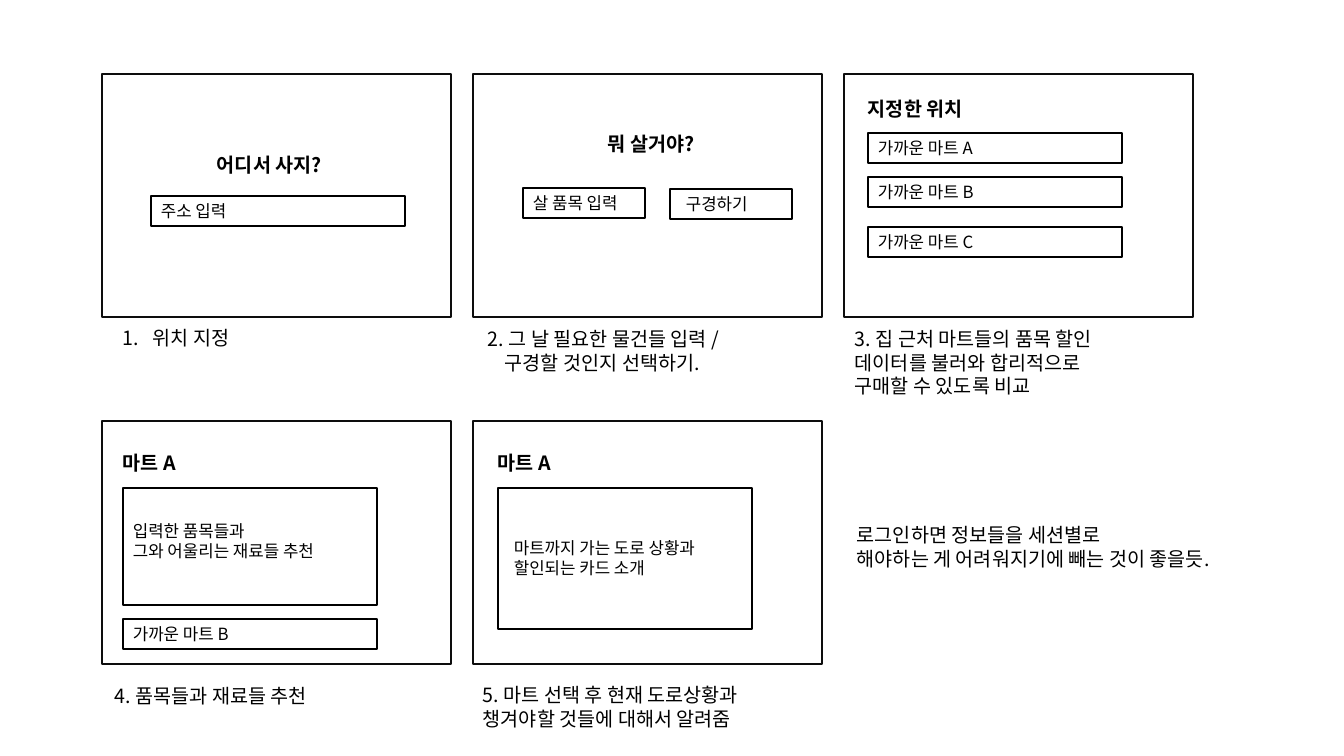
from lxml import etree
from pptx import Presentation
from pptx.dml.color import RGBColor
from pptx.enum.shapes import MSO_SHAPE
from pptx.enum.text import MSO_AUTO_SIZE
from pptx.oxml.ns import qn
from pptx.util import Pt

RECT = MSO_SHAPE.RECTANGLE
GROW = MSO_AUTO_SIZE.SHAPE_TO_FIT_TEXT
SCALE = 914400 / 100.8
FACE = "Noto Sans CJK KR"
COLORS = {"card": "0D0D0D", "box": "000000", "text": "000000"}
FORMATS = {
    "body": {"size": Pt(14), "name": FACE, "bold": False},
    "head": {"size": Pt(14), "name": FACE, "bold": True},
    "small": {"size": Pt(12), "name": FACE, "bold": False},
}
FRAME = {"word_wrap": True, "auto_size": GROW}


def emu(*pixels):
    return [round(p * SCALE) for p in pixels]


def apply(target, values):
    for key, value in values.items():
        setattr(target, key, value)


class Sketch:
    def __init__(self, deck):
        self.slide = deck.slides.add_slide(deck.slide_layouts[6])

    def rect(self, x, y, w, h, color="box"):
        shape = self.slide.shapes.add_shape(RECT, *emu(x, y, w, h))
        shape.shadow.inherit = False
        shape.fill.background()
        shape.line.color.rgb = RGBColor.from_string(COLORS[color])
        shape.line.width = Pt(1)

    def text(self, x, y, w, h, lines, style="body", indents=()):
        frame = self.slide.shapes.add_textbox(*emu(x, y, w, h)).text_frame
        apply(frame, FRAME)
        for i, line in enumerate(lines):
            para = frame.paragraphs[0] if i == 0 else frame.add_paragraph()
            run = para.add_run()
            run.text = line
            apply(run.font, FORMATS[style])
            run.font.color.rgb = RGBColor.from_string(COLORS["text"])
            etree.SubElement(run.font._element, qn("a:ea"), typeface=FACE)
            if i < len(indents):
                left, first = emu(*indents[i])
                props = para._p.get_or_add_pPr()
                props.set("marL", str(left))
                props.set("indent", str(first))

    def field(self, x, y, w, label, shift=0):
        self.rect(x, y, w, 30)
        self.text(x + shift, y, min(w, 162), 30, [label], "small")

    def panel(self, x, h, lines, shift=0, drop=0):
        self.rect(x, 488, 254, h)
        top = 488 + (h - 50) // 2 + drop
        self.text(x + shift, top, 254, 50, lines, "small")


deck = Presentation()
deck.slide_width, deck.slide_height = emu(1344, 756)
sketch = Sketch(deck)

for i in range(5):
    row, col = divmod(i, 3)
    sketch.rect(102 + 371 * col, 74 + 347 * row, 349, 243, "card")

heads = [
    (207, 148, "어디서 사지?"),
    (598, 127, "뭐 살거야?"),
    (858, 92, "지정한 위치"),
    (113, 446, "마트 A"),
    (488, 446, "마트 A"),
]
for x, y, label in heads:
    sketch.text(x, y, 143, 34, [label], "head")

fields = [
    (151, 196, 254, "주소 입력", 0),
    (523, 188, 122, "살 품목 입력", 0),
    (670, 189, 122, "구경하기", 6),
    (868, 133, 254, "가까운 마트 A", 0),
    (868, 177, 254, "가까운 마트 B", 0),
    (868, 227, 254, "가까운 마트 C", 0),
    (123, 619, 254, "가까운 마트 B", 0),
]
for place in fields:
    sketch.field(*place)

sketch.panel(123, 117, ["입력한 품목들과", "그와 어울리는 재료들 추천"], 0, -5)
sketch.panel(498, 141, ["마트까지 가는 도로 상황과", "할인되는 카드 소개"], 6)

notes = [
    (113, 321, 349, ["1.\t위치 지정"], [(30, -30)]),
    (478, 322, 349, ["2. 그 날 필요한 물건들 입력 /", "구경할 것인지 선택하기."],
     [(0, 0), (17, 0)]),
    (845, 322, 349, ["3. 집 근처 마트들의 품목 할인", "데이터를 불러와 합리적으로",
                     "구매할 수 있도록 비교"], []),
    (105, 679, 349, ["4. 품목들과 재료들 추천"], []),
    (473, 678, 349, ["5. 마트 선택 후 현재 도로상황과", "챙겨야할 것들에 대해서 알려줌"], []),
    (847, 518, 419, ["로그인하면 정보들을 세션별로",
                     "해야하는 게 어려워지기에 빼는 것이 좋을듯."], []),
]
for x, y, w, lines, indents in notes:
    sketch.text(x, y, w, 10 + 24 * len(lines), lines, "body", indents)

deck.save("out.pptx")
